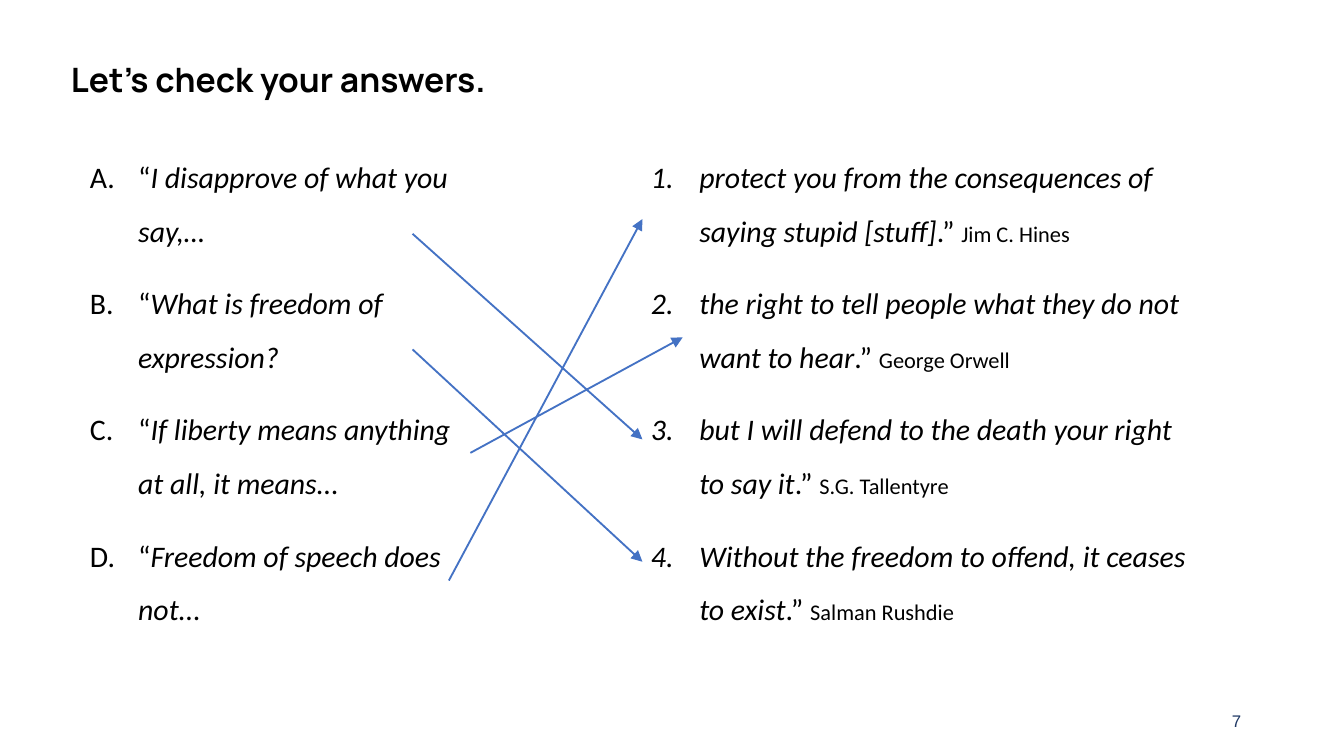
from collections import namedtuple
from dataclasses import dataclass

from lxml import etree
from pptx import Presentation
from pptx import util as u
from pptx.dml.color import RGBColor
from pptx.enum import shapes, text
from pptx.oxml import ns

Box = namedtuple("Box", "left top width height")


@dataclass(frozen=True)
class Theme:
    ink: str = "000000"
    page: str = "1F3864"
    arrow: str = "4472C4"
    title_font: str = "Manrope"
    body_font: str = "Calibri"
    page_font: str = "Arial"
    title_size: int = 18
    quote_size: int = 16
    author_size: int = 12
    page_size: int = 9
    arrow_width: int = 1


THEME = Theme()

# Each half quote is a list of (wording, italic) pieces
OPENINGS = [
    [("“", False), ("I disapprove of what you say,…", True)],
    [("“", False), ("What is freedom of expression?", True)],
    [("“", False), ("If liberty means anything at all, it means", True), ("…", False)],
    [("“", False), ("Freedom of speech does not", True), ("…", False)],
]
ENDINGS = [
    ("protect you from the consequences of saying stupid [stuff]", "Jim C. Hines"),
    ("the right to tell people what they do not want to hear", "George Orwell"),
    ("but I will defend to the death your right to say it", "S.G. Tallentyre"),
    ("Without the freedom to offend, it ceases to exist", "Salman Rushdie"),
]
# Start and end of each arrow, measured from the corner of the answer area
ANSWERS = [
    ((54, 538), (342, 0)),   # D to 1
    ((0, 22), (342, 328)),   # A to 3
    ((86, 348), (402, 176)),  # C to 2
    ((0, 194), (342, 510)),  # B to 4
]


def px(length):
    """200 px to the inch."""
    return u.Emu(length * 4572)


def add_run(paragraph, wording, font, size, color, bold=False, italic=False):
    run = paragraph.add_run()
    run.text = wording
    run.font.name = font
    run.font.size = u.Pt(size)
    run.font.bold = bold
    run.font.italic = italic
    run.font.color.rgb = RGBColor.from_string(color)


def add_frame(slide, box, inset_x=20, inset_y=20):
    frame = slide.shapes.add_textbox(*map(px, box)).text_frame
    frame.word_wrap = True
    frame.margin_left = frame.margin_right = px(inset_x)
    frame.margin_top = frame.margin_bottom = px(inset_y)
    return frame


def add_title(slide, box, wording):
    frame = add_frame(slide, box)
    frame.auto_size = text.MSO_AUTO_SIZE.SHAPE_TO_FIT_TEXT
    add_run(frame.paragraphs[0], wording, THEME.title_font, THEME.title_size,
            THEME.ink, bold=True)


def add_page_number(slide, box, number):
    frame = add_frame(slide, box, 15, 8)
    frame.vertical_anchor = text.MSO_ANCHOR.MIDDLE
    frame.paragraphs[0].alignment = text.PP_ALIGN.RIGHT
    add_run(frame.paragraphs[0], str(number), THEME.page_font, THEME.page_size,
            THEME.page)


def set_numbering(paragraph, scheme):
    props = paragraph._p.get_or_add_pPr()
    props.set("marL", str(px(100)))
    props.set("indent", str(px(-72)))
    color = etree.SubElement(props, ns.qn("a:buClr"))
    etree.SubElement(color, ns.qn("a:srgbClr"), val=THEME.ink)
    etree.SubElement(props, ns.qn("a:buAutoNum"), type=scheme)


def add_quotes(slide, box, scheme, items):
    """Numbered list; each item is a list of (wording, italic, size)."""
    frame = add_frame(slide, box)
    frame.auto_size = text.MSO_AUTO_SIZE.SHAPE_TO_FIT_TEXT
    for index, pieces in enumerate(items):
        paragraph = frame.add_paragraph() if index else frame.paragraphs[0]
        set_numbering(paragraph, scheme)
        paragraph.line_spacing = 1.5
        if index:
            paragraph.space_before = u.Pt(10)
        for wording, italic, size in pieces:
            add_run(paragraph, wording, THEME.body_font, size, THEME.ink,
                    italic=italic)
    paragraph.space_after = u.Pt(10)


def add_answers(slide, box, answers):
    for (x1, y1), (x2, y2) in answers:
        arrow = slide.shapes.add_connector(
            shapes.MSO_CONNECTOR.STRAIGHT,
            px(box.left + x1), px(box.top + y1),
            px(box.left + x2), px(box.top + y2))
        arrow.line.color.rgb = RGBColor.from_string(THEME.arrow)
        arrow.line.width = u.Pt(THEME.arrow_width)
        etree.SubElement(arrow.line._get_or_add_ln(), ns.qn("a:tailEnd"),
                         type="triangle")
        etree.SubElement(arrow._element.spPr, ns.qn("a:effectLst"))


def main():
    deck = Presentation()
    deck.slide_width, deck.slide_height = px(2000), px(1125)
    slide = deck.slides.add_slide(deck.slide_layouts[6])

    add_page_number(slide, Box(1412, 1043, 450, 60), 7)
    add_title(slide, Box(86, 68, 1526, 100), "Let’s check your answers.")

    # Beginnings on the left, endings with their authors on the right
    openings = [[(wording, italic, THEME.quote_size) for wording, italic in pieces]
                for pieces in OPENINGS]
    endings = [[(wording, True, THEME.quote_size),
                (".” ", False, THEME.quote_size),
                (author, False, THEME.author_size)]
               for wording, author in ENDINGS]
    add_quotes(slide, Box(86, 190, 638, 832), "alphaUcPeriod", openings)
    add_quotes(slide, Box(921, 190, 878, 832), "arabicPeriod", endings)

    add_answers(slide, Box(614, 326, 402, 538), ANSWERS)
    deck.save("out.pptx")


if __name__ == "__main__":
    main()
